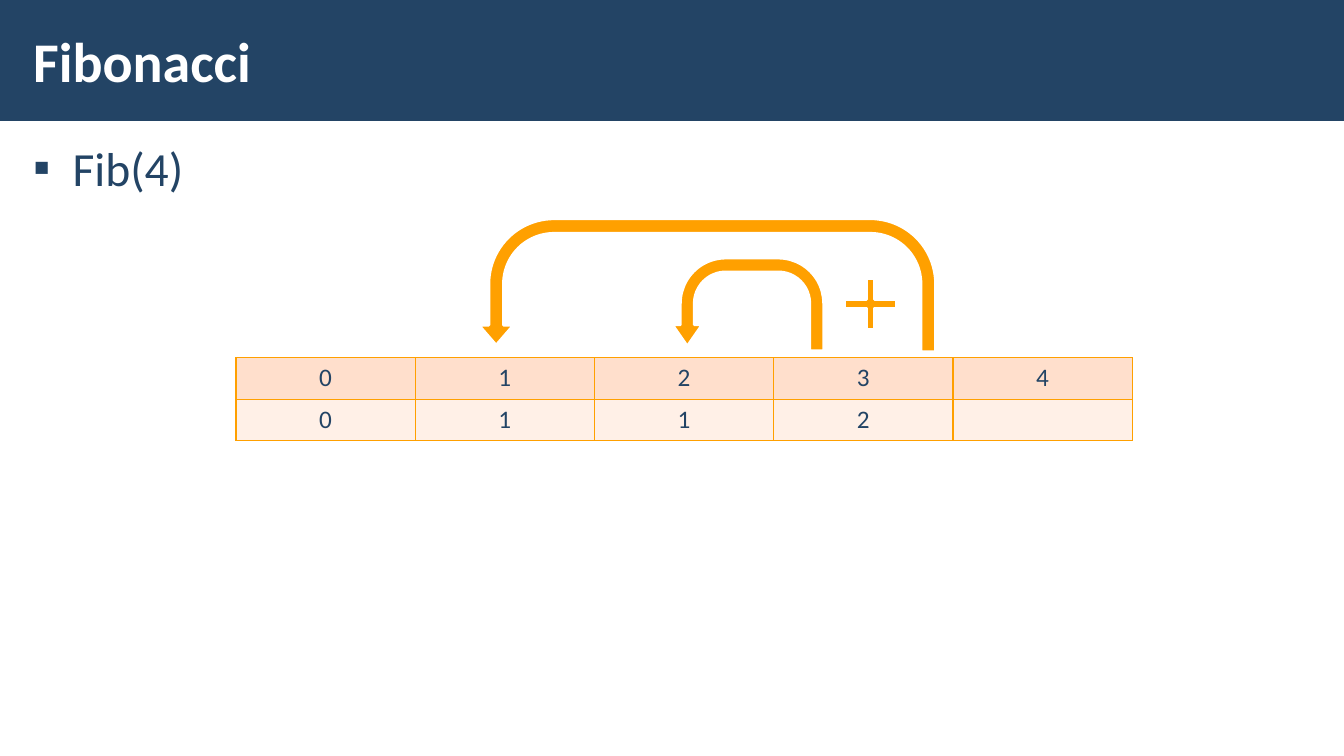
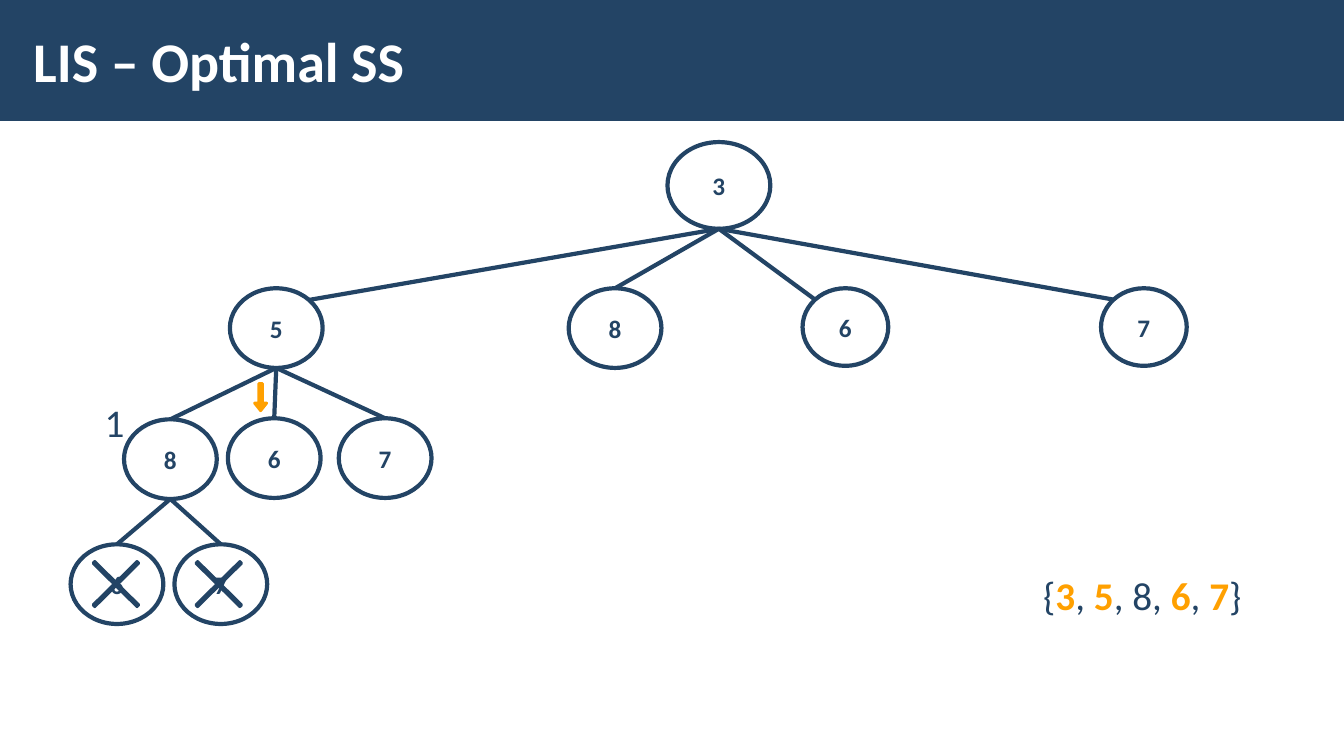
from math import cos, pi, sin
from lxml.etree import SubElement
from pptx import Presentation
from pptx.dml.color import RGBColor
from pptx.enum.shapes import MSO_CONNECTOR, MSO_SHAPE
from pptx.enum.text import MSO_ANCHOR, PP_ALIGN
from pptx.oxml.ns import qn
from pptx.util import Inches, Pt

HUES = {"navy": "234465", "gold": "FFA000", "white": "FFFFFF",
        "peach": "FFDFCC", "cream": "FFF0E7"}
FONT = "Calibri"


class Deck:
    """Hold the shared style and the current slide."""

    def __init__(self):
        self.prs = Presentation()
        self.prs.slide_width = Inches(13.33)
        self.prs.slide_height = Inches(7.5)

    def hue(self, name):
        return RGBColor.from_string(HUES[name])

    def page(self, title):
        self.slide = self.prs.slides.add_slide(self.prs.slide_layouts[6])
        self.shape(MSO_SHAPE.RECTANGLE, (0, 0, 13.33, 1.2), "navy")
        self.text((0.21, 0.11, 10.63, 0.97), [(title, "white", True)], 40,
                  (0.12, 0.04), MSO_ANCHOR.MIDDLE)

    def fill_in(self, para, runs, size):
        for words, hue, bold in runs:
            run = para.add_run()
            run.text = words
            font = run.font
            font.name, font.size, font.bold = FONT, Pt(size), bold
            font.color.rgb = self.hue(hue)

    def pad(self, frame, side, edge):
        frame.margin_left = frame.margin_right = Inches(side)
        frame.margin_top = frame.margin_bottom = Inches(edge)

    def text(self, box, runs, size, pad=(0.1, 0.05), anchor=MSO_ANCHOR.TOP):
        frame = self.slide.shapes.add_textbox(*map(Inches, box)).text_frame
        frame.word_wrap = True
        frame.vertical_anchor = anchor
        self.pad(frame, *pad)
        para = frame.paragraphs[0]
        self.fill_in(para, runs, size)
        return para

    def bullet(self, box, words):
        para = self.text(box, [(words, "navy", False)], 34, (0.12, 0.04))
        para.line_spacing = 1.05
        para.space_after = Pt(6)
        props = para._p.get_or_add_pPr()
        props.set("marL", str(Inches(0.39)))
        props.set("indent", str(-Inches(0.39)))
        SubElement(props, qn("a:buFont"), typeface=FONT)
        SubElement(props, qn("a:buChar"), char="▪")

    def shape(self, kind, box, fill, line=None, width=2, adj=()):
        item = self.slide.shapes.add_shape(kind, *map(Inches, box))
        item.shadow.inherit = False
        item.fill.solid()
        item.fill.fore_color.rgb = self.hue(fill)
        if line:
            item.line.color.rgb = self.hue(line)
            item.line.width = Pt(width)
        else:
            item.line.fill.background()
        for spot, value in enumerate(adj):
            item.adjustments[spot] = value
        return item

    def uturn(self, box, adj):
        item = self.shape(MSO_SHAPE.U_TURN_ARROW, box, "gold", "white", adj=adj)
        item.element.spPr.xfrm.set("flipH", "1")

    def node(self, label, box):
        item = self.shape(MSO_SHAPE.OVAL, box, "white", "navy", 3)
        tint = item.element.spPr.find(qn("a:solidFill"))[0]
        SubElement(tint, qn("a:alpha"), val="50000")
        frame = item.text_frame
        frame.vertical_anchor = MSO_ANCHOR.MIDDLE
        self.pad(frame, 0, 0.04)
        para = frame.paragraphs[0]
        para.alignment = PP_ALIGN.CENTER
        self.fill_in(para, [(label, "navy", True)], 18)

    def link(self, top, kid, side):
        x, y, w, h = top
        left, head, wide, high = kid
        turn = side * pi / 4
        ends = (x + w / 2, y + h,
                left + wide / 2 * (1 + sin(turn)),
                head + high / 2 * (1 - cos(turn)))
        line = self.slide.shapes.add_connector(
            MSO_CONNECTOR.STRAIGHT, *map(Inches, ends))
        line.line.color.rgb = self.hue("navy")
        line.line.width = Pt(3)
        SubElement(line.element.spPr, qn("a:effectLst"))

    def tree(self, top, kids):
        for label, box, side, heirs in kids:
            self.node(label, box)
            self.link(top, box, side)
            self.tree(box, heirs)

    def cross(self, x, y):
        self.shape(MSO_SHAPE.MATH_MULTIPLY, (x, y, 0.84, 0.83),
                   "navy", "navy", adj=[0.03])

    def edge(self, cell):
        props = cell._tc.get_or_add_tcPr()
        for spot, tag in enumerate(("lnL", "lnR", "lnT", "lnB")):
            line = SubElement(props, qn("a:" + tag), w=str(Pt(1)))
            props.insert(spot, line)
            fill = SubElement(line, qn("a:solidFill"))
            SubElement(fill, qn("a:srgbClr"), val=HUES["gold"])

    def table(self, box, rows, fills):
        grid = self.slide.shapes.add_table(
            len(rows), len(rows[0]), *map(Inches, box)).table
        grid.first_row = grid.horz_banding = False
        for r, (row, fill) in enumerate(zip(rows, fills)):
            for c, words in enumerate(row):
                cell = grid.cell(r, c)
                cell.fill.solid()
                cell.fill.fore_color.rgb = self.hue(fill)
                self.edge(cell)
                para = cell.text_frame.paragraphs[0]
                para.alignment = PP_ALIGN.CENTER
                if words:
                    self.fill_in(para, [(words, "navy", False)], 18)


def fib(deck):
    deck.page("Fibonacci")
    deck.bullet((0.21, 1.31, 12.92, 6.05), "Fib(4)")
    deck.uturn((6.67, 2.56, 1.5, 0.92), (0.15, 0.16, 0.23, 0.49, 0.95))
    deck.uturn((4.75, 2.17, 4.53, 1.32), (0.11, 0.13, 0.15, 0.49, 0.95))
    deck.shape(MSO_SHAPE.MATH_PLUS, (8.29, 2.67, 0.69, 0.69),
               "gold", "white", adj=[0.12])
    deck.table((2.34, 3.55, 8.89, 0.82),
               [["0", "1", "2", "3", "4"], ["0", "1", "1", "2", ""]],
               ["peach", "cream"])


def lis(deck):
    deck.page("LIS – Optimal SS")
    size = (0.92, 0.79)
    small = (0.85, 0.77)
    leaves = [("6", (0.7, 5.4, *size), 0, []),
              ("7", (1.73, 5.4, *size), 0, [])]
    inner = [("8", (1.23, 4.16, *size), 0, leaves),
             ("6", (2.26, 4.15, *size), 0, []),
             ("7", (3.36, 4.15, *size), 0, [])]
    kids = [("5", (2.28, 2.86, *size), 1, inner),
            ("8", (5.64, 2.86, *size), 0, []),
            ("6", (7.96, 2.86, *small), -1, []),
            ("7", (10.92, 2.86, *small), -1, [])]
    root = (6.62, 1.41, 1.02, 0.86)
    deck.node("3", root)
    deck.tree(root, kids)
    for x in (0.73, 1.75):
        deck.cross(x, 5.38)
    arrow = deck.shape(MSO_SHAPE.RIGHT_ARROW, (2.45, 3.88, 0.27, 0.12),
                       "gold", "gold", adj=(0.32, 0.63))
    arrow.rotation = 90
    picks = [(" {", 0), ("3", 1), (", ", 0), ("5", 1), (", 8, ", 0),
             ("6", 1), (", ", 0), ("7", 1), ("}", 0)]
    deck.text((10.16, 5.62, 2.38, 0.57),
              [(words, "gold" if hit else "navy", bool(hit))
               for words, hit in picks], 28)
    deck.text((0.94, 3.9, 0.28, 0.57), [("1", "navy", False)], 28)


def main():
    deck = Deck()
    fib(deck)
    lis(deck)
    deck.prs.save("out.pptx")


if __name__ == "__main__":
    main()
